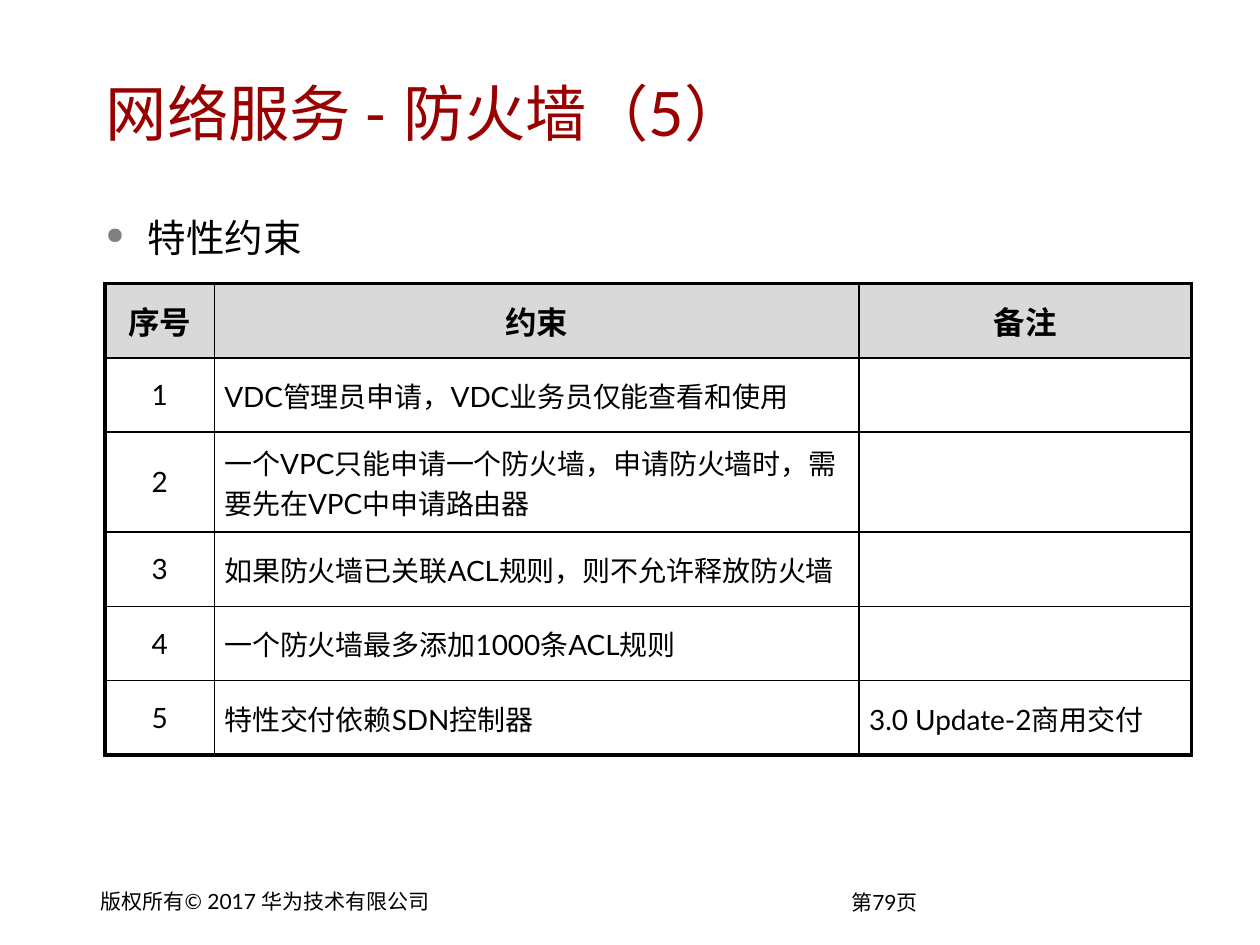
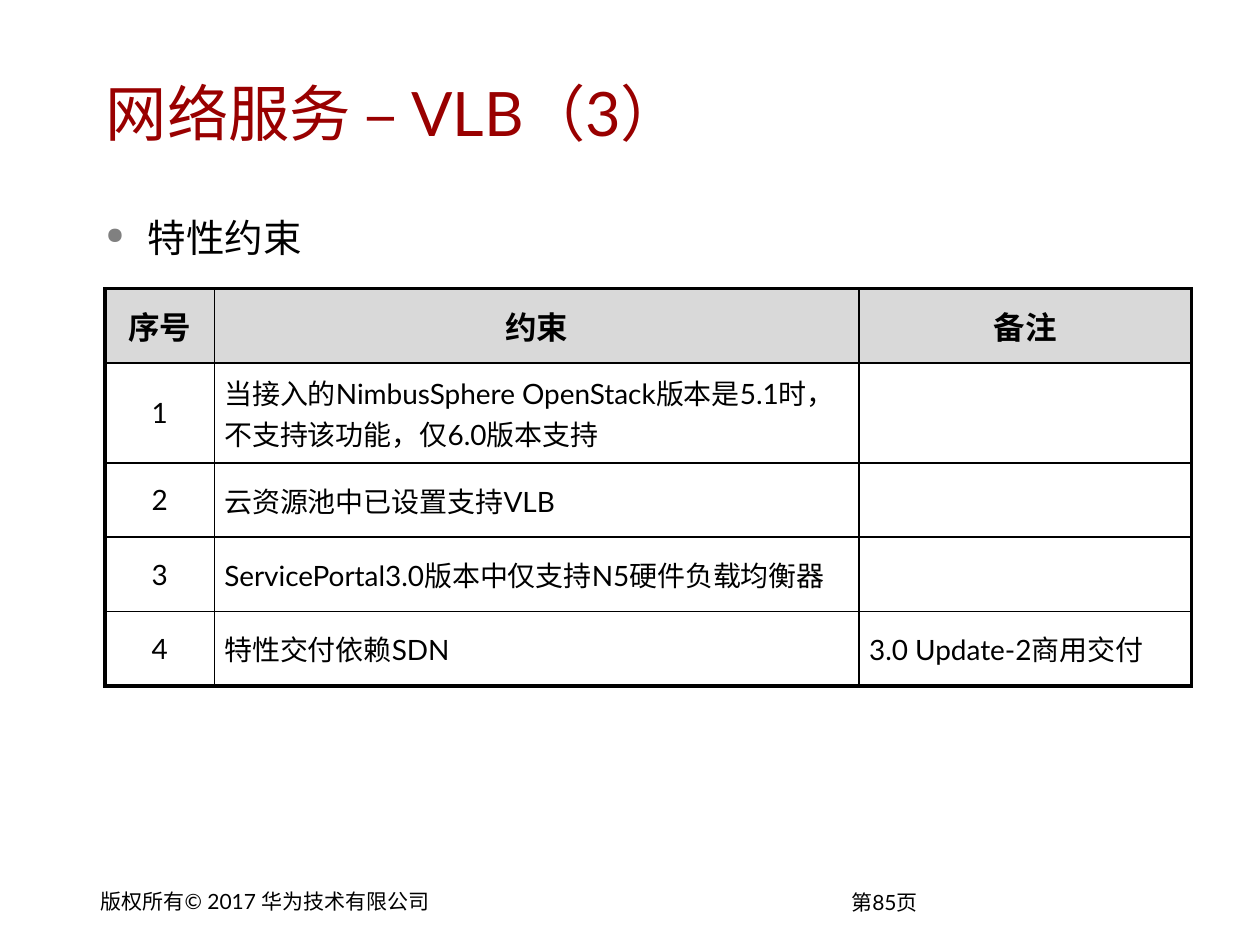
from lxml import etree
from pptx import Presentation
from pptx.dml.color import RGBColor
from pptx.enum.text import MSO_ANCHOR, PP_ALIGN
from pptx.oxml.ns import qn
from pptx.util import Pt

BLACK = RGBColor(0x00, 0x00, 0x00)
TITLE_RED = RGBColor(0x99, 0x00, 0x00)
HEADER_GREY = RGBColor(0xD9, 0xD9, 0xD9)
FONT = "Lato"

COLUMN_WIDTHS = [62.5, 368.5, 190]
ROW_HEIGHT, TALL_ROW_HEIGHT = 42.5, 57
OUTER_LINE, INNER_LINE = 2.25, 1
HEADER = ["序号", "约束", "备注"]
COPYRIGHT = "版权所有© 2017 华为技术有限公司"
DELIVERY = "3.0 Update-2商用交付"

PAGES = [
    {
        "title": "网络服务 - 防火墙（5）",
        "number": 79,
        "table_top": 162,
        "tall_row": 2,
        "padding": 5.67,
        "limits": [
            ("VDC管理员申请，VDC业务员仅能查看和使用", ""),
            ("一个VPC只能申请一个防火墙，申请防火墙时，需要先在VPC中申请路由器", ""),
            ("如果防火墙已关联ACL规则，则不允许释放防火墙", ""),
            ("一个防火墙最多添加1000条ACL规则", ""),
            ("特性交付依赖SDN控制器", DELIVERY),
        ],
    },
    {
        "title": "网络服务 – VLB（3）",
        "number": 85,
        "table_top": 165,
        "tall_row": 1,
        "padding": 0,
        "limits": [
            ("当接入的NimbusSphere OpenStack版本是5.1时，不支持该功能，仅6.0版本支持", ""),
            ("云资源池中已设置支持VLB", ""),
            ("ServicePortal3.0版本中仅支持N5硬件负载均衡器", ""),
            ("特性交付依赖SDN", DELIVERY),
        ],
    },
]


def add_span(para, text, size, color=BLACK, bold=False):
    span = para.add_run()
    span.text = text
    span.font.name = FONT
    span.font.size = Pt(size)
    span.font.bold = bold
    span.font.color.rgb = color
    return span


def add_box(page, left, top, width, height, anchor=MSO_ANCHOR.TOP):
    """Add an empty wrapping text box and return its first paragraph."""
    frame = page.shapes.add_textbox(Pt(left), Pt(top), Pt(width), Pt(height)).text_frame
    frame.word_wrap = True
    frame.vertical_anchor = anchor
    frame.margin_left = frame.margin_right = Pt(6.5)
    frame.margin_top = frame.margin_bottom = Pt(3)
    return frame.paragraphs[0]


deck = Presentation()
deck.slide_width, deck.slide_height = Pt(720), Pt(540)

for content in PAGES:
    page = deck.slides.add_slide(deck.slide_layouts[6])

    # Footer
    for text, left, top, width in [
        (f"第{content['number']}页", 480, 505.5, 52),
        (COPYRIGHT, 51, 505, 201),
    ]:
        span = add_span(add_box(page, left, top, width, 21), text, 12)
        etree.SubElement(span.font._element, qn("a:ea"), typeface=FONT)

    # Title and bullet
    title = add_box(page, 54, 30, 623.5, 68.5, MSO_ANCHOR.MIDDLE)
    add_span(title, content["title"], 35, TITLE_RED)

    bullet = add_box(page, 54, 109, 623.5, 309)
    bullet.line_spacing = 1.4
    settings = bullet._p.get_or_add_pPr()
    settings.set("marL", str(Pt(24)))
    settings.set("indent", str(Pt(-24)))
    bullet_color = etree.SubElement(settings, qn("a:buClr"))
    etree.SubElement(bullet_color, qn("a:srgbClr"), val="808080")
    etree.SubElement(settings, qn("a:buSzPct"), val="60000")
    etree.SubElement(settings, qn("a:buChar"), char="●")
    add_span(bullet, "特性约束", 22)

    # Table of limits
    rows = [HEADER] + [(str(i), *limit) for i, limit in enumerate(content["limits"], 1)]
    heights = [ROW_HEIGHT] * len(rows)
    heights[content["tall_row"]] = TALL_ROW_HEIGHT
    table = page.shapes.add_table(
        len(rows), len(HEADER), Pt(60), Pt(content["table_top"]),
        Pt(sum(COLUMN_WIDTHS)), Pt(sum(heights)),
    ).table
    for column, width in zip(table.columns, COLUMN_WIDTHS):
        column.width = Pt(width)
    for r, (row, height) in enumerate(zip(rows, heights)):
        table.rows[r].height = Pt(height)
        for c, text in enumerate(row):
            cell = table.cell(r, c)
            cell.vertical_anchor = MSO_ANCHOR.MIDDLE
            cell.margin_left = cell.margin_right = Pt(5.67)
            cell.margin_top = cell.margin_bottom = Pt(content["padding"] if r else 0)

            outer_sides = {
                "a:lnL": c == 0,
                "a:lnR": c == len(row) - 1,
                "a:lnT": r == 0,
                "a:lnB": r == len(rows) - 1,
            }
            for side, is_outer in outer_sides.items():
                line_width = Pt(OUTER_LINE if is_outer else INNER_LINE)
                line = etree.SubElement(cell._tc.get_or_add_tcPr(), qn(side), w=str(line_width))
                line_fill = etree.SubElement(line, qn("a:solidFill"))
                etree.SubElement(line_fill, qn("a:srgbClr"), val=str(BLACK))
            if r == 0:
                cell.fill.solid()
                cell.fill.fore_color.rgb = HEADER_GREY
            else:
                cell.fill.background()

            para = cell.text_frame.paragraphs[0]
            para.alignment = PP_ALIGN.CENTER if r == 0 or c == 0 else PP_ALIGN.LEFT
            if text:
                add_span(para, text, 16 if r else 18, bold=r == 0)

deck.save("out.pptx")
